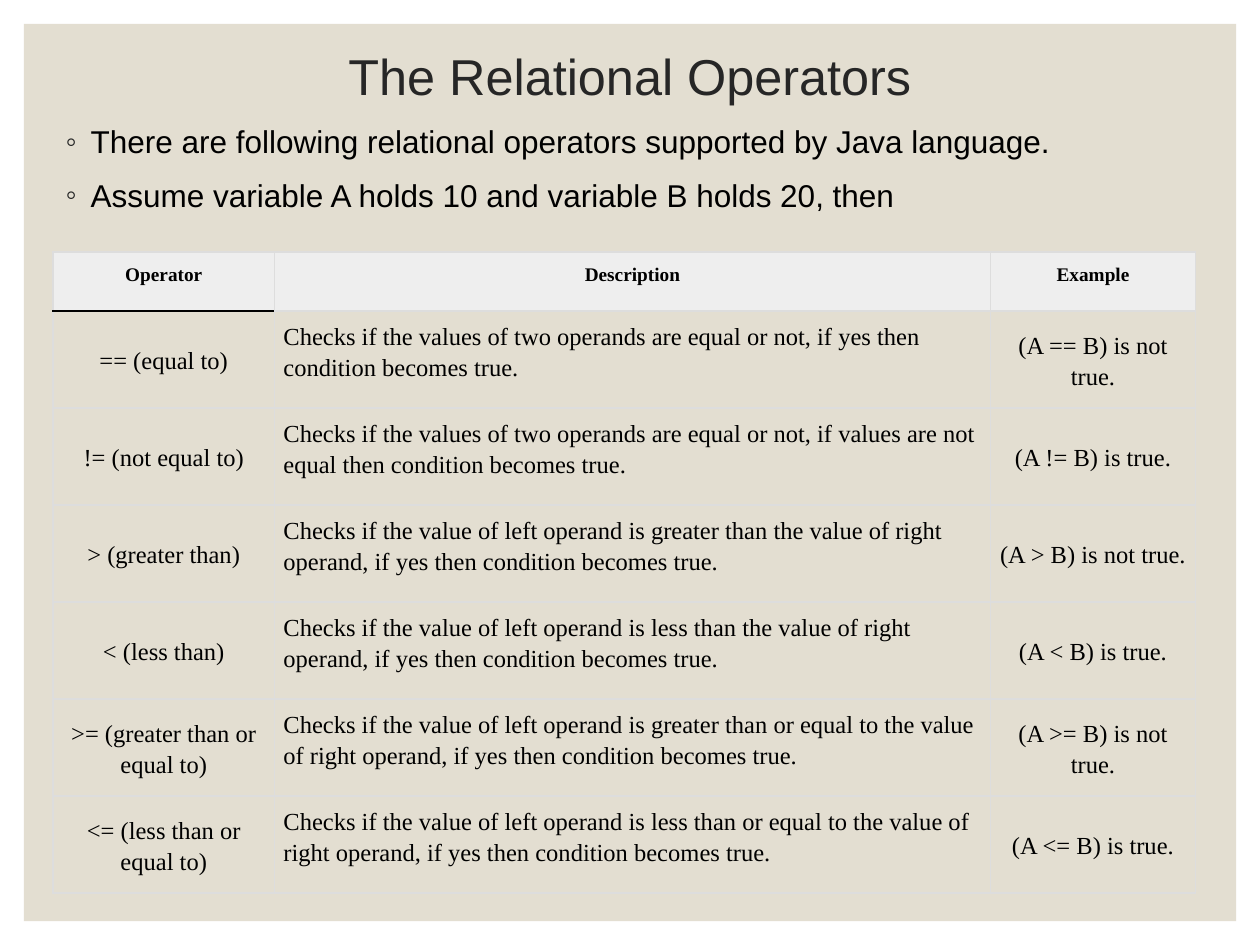
from lxml.etree import SubElement
from pptx import Presentation
from pptx.dml.color import RGBColor
from pptx.enum.shapes import MSO_SHAPE as Shape
from pptx.enum.text import MSO_ANCHOR as Anchor, MSO_AUTO_SIZE as AutoSize, PP_ALIGN as Align
from pptx.oxml.ns import qn
from pptx.util import Inches, Pt

COLORS = {
    "panel": "E3DED1",
    "title": "262626",
    "text": "000000",
    "header": "EEEEEE",
    "border": "DDDDDD",
    "page": "FFFFFF",
}
HEADINGS = ["Operator", "Description", "Example"]
EQUALITY = "Checks if the values of two operands are equal or not, if "
COMPARISON = "Checks if the value of left operand is "
OUTCOME = " right operand, if yes then condition becomes true."
ROWS = [
    ("== (equal to)", EQUALITY + "yes then condition becomes true.", "(A == B) is not true."),
    ("!= (not equal to)", EQUALITY + "values are not equal then condition becomes true.", "(A != B) is true."),
    ("> (greater than)", COMPARISON + "greater than the value of" + OUTCOME, "(A > B) is not true."),
    ("< (less than)", COMPARISON + "less than the value of" + OUTCOME, "(A < B) is true."),
    (">= (greater than or equal to)", COMPARISON + "greater than or equal to the value of" + OUTCOME, "(A >= B) is not true."),
    ("<= (less than or equal to)", COMPARISON + "less than or equal to the value of" + OUTCOME, "(A <= B) is true."),
]
BULLETS = [
    "There are following relational operators supported by Java language.",
    "Assume variable A holds 10 and variable B holds 20, then",
]


def add_span(para, text, size, font, color, bold=False):
    span = para.add_run()
    span.text = text
    span.font.size = Pt(size)
    span.font.name = font
    span.font.bold = bold
    span.font.color.rgb = RGBColor.from_string(COLORS[color])


def add_border(cell, side, color):
    line = SubElement(cell._tc.get_or_add_tcPr(), qn(f"a:{side}"), w=str(Pt(1)))
    SubElement(SubElement(line, qn("a:solidFill")), qn("a:srgbClr"), val=COLORS[color])


deck = Presentation()
deck.slide_width, deck.slide_height = Inches(10), Inches(7.5)
page = deck.slides.add_slide(deck.slide_layouts[1])
page.background.fill.solid()
page.background.fill.fore_color.rgb = RGBColor.from_string(COLORS["page"])

margin = Inches(0.19)
panel = page.shapes.add_shape(
    Shape.RECTANGLE, margin, margin, deck.slide_width - 2 * margin, deck.slide_height - 2 * margin
)
panel.shadow.inherit = False
panel.fill.solid()
panel.fill.fore_color.rgb = RGBColor.from_string(COLORS["panel"])
panel.line.fill.background()
page.shapes._spTree.insert(2, panel._element)

title = page.shapes.title
title.left, title.top = Inches(0.8), Inches(0.42)
title.width, title.height = deck.slide_width - 2 * title.left, Inches(0.42)
title.text_frame.auto_size = AutoSize.NONE
title.text_frame.vertical_anchor = Anchor.MIDDLE
para = title.text_frame.paragraphs[0]
para.alignment = Align.CENTER
para.line_spacing = 0.9
add_span(para, "The Relational Operators", 28.8, "Arial", "title")

body = page.placeholders[1]
body.left, body.top, body.width, body.height = map(Inches, (0.42, 0.92, 9.25, 6.17))
body.text_frame.auto_size = AutoSize.NONE
for number, text in enumerate(BULLETS):
    para = body.text_frame.add_paragraph() if number else body.text_frame.paragraphs[0]
    para.space_before = Pt(9 * number)
    props = para._p.get_or_add_pPr()
    props.set("marL", str(Inches(0.2)))
    props.set("indent", str(-Inches(0.2)))
    SubElement(SubElement(props, qn("a:buClr")), qn("a:srgbClr"), val=COLORS["title"])
    SubElement(props, qn("a:buFont"), typeface="Arial")
    SubElement(props, qn("a:buChar"), char="◦")
    add_span(para, text, 18, "Arial", "text")

widths = [1.76, 5.68, 1.63]
heights = [0.47] + [0.77] * len(ROWS)
table = page.shapes.add_table(
    len(heights), len(widths), Inches(0.42), Inches(2), Inches(sum(widths)), Inches(sum(heights))
).table
table.first_row = table.horz_banding = False
for column, width in zip(table.columns, widths):
    column.width = Inches(width)

for r, texts in enumerate([HEADINGS] + ROWS):
    table.rows[r].height = Inches(heights[r])
    for c, text in enumerate(texts):
        cell = table.cell(r, c)
        is_header, is_description = r == 0, c == 1
        cell.margin_left = cell.margin_right = cell.margin_top = cell.margin_bottom = Inches(0.07)
        cell.vertical_anchor = Anchor.TOP if is_header or is_description else Anchor.MIDDLE
        for side in ("lnL", "lnR", "lnT", "lnB"):
            is_dark = c == 0 and (r, side) in ((0, "lnB"), (1, "lnT"))
            add_border(cell, side, "text" if is_dark else "border")
        if is_header:
            cell.fill.solid()
            cell.fill.fore_color.rgb = RGBColor.from_string(COLORS["header"])
        else:
            cell.fill.background()
        para = cell.text_frame.paragraphs[0]
        para.alignment = Align.LEFT if is_description and not is_header else Align.CENTER
        para.line_spacing = 1.15
        add_span(para, text, 11 if is_header else 14, "Times New Roman", "text", is_header)

deck.save("out.pptx")
